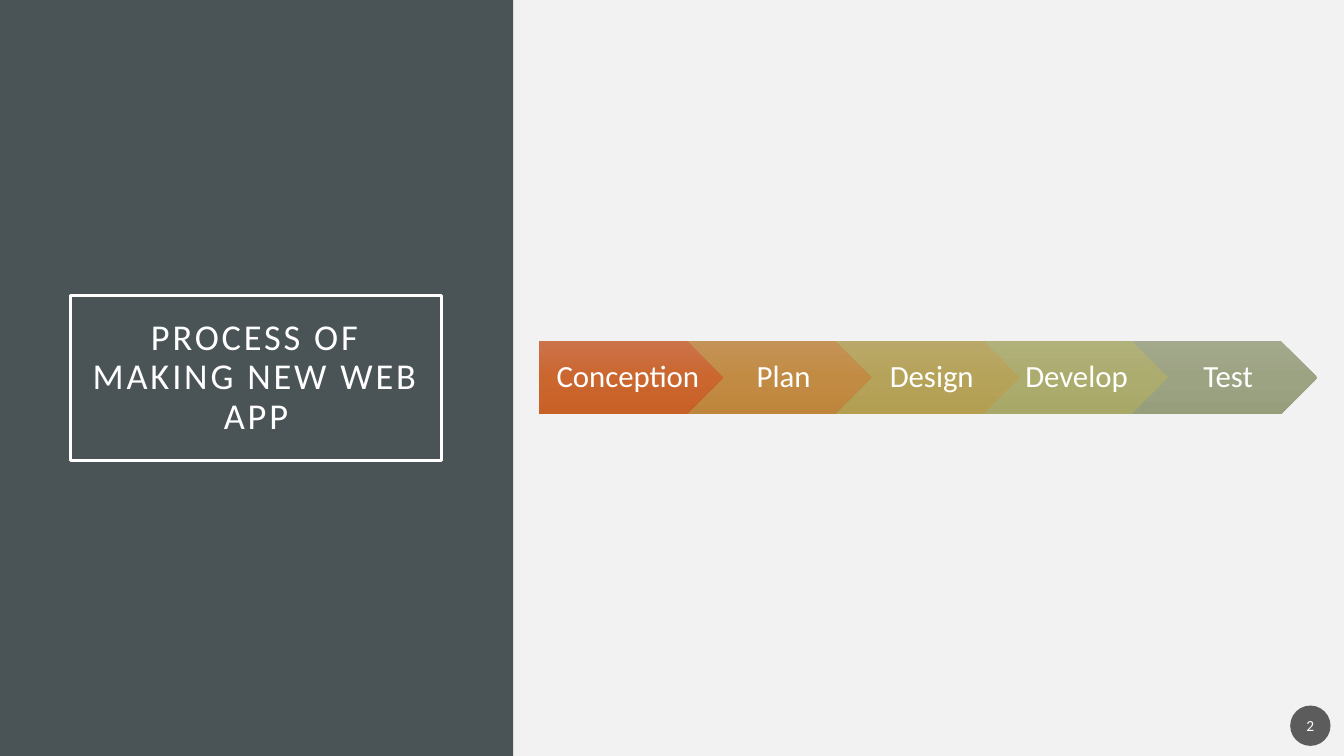
from copy import deepcopy

from lxml import etree
from pptx import Presentation
from pptx.dml.color import RGBColor
from pptx.enum.shapes import MSO_SHAPE
from pptx.enum.text import MSO_ANCHOR, MSO_AUTO_SIZE, PP_ALIGN
from pptx.oxml.ns import qn
from pptx.util import Pt

RECTANGLE = MSO_SHAPE.RECTANGLE
PENTAGON = MSO_SHAPE.PENTAGON
CHEVRON = MSO_SHAPE.CHEVRON
OVAL = MSO_SHAPE.OVAL
MIDDLE = MSO_ANCHOR.MIDDLE
CENTER = PP_ALIGN.CENTER
NO_AUTOFIT = MSO_AUTO_SIZE.NONE

COLORS = {
    "background": "F2F2F2",
    "panel": "4A5356",
    "text": "FFFFFF",
    "badge": "1D1D1D",
}
FONT = "Calibri"

STEP_LEFT, STEP_TOP = 385.2, 243.4
STEP_WIDTH, STEP_HEIGHT = 132.5, 52.6
STEP_PITCH = 105.85
# Name, gradient from top to bottom, text insets (left, top, right, bottom)
STEPS = [
    ("Conception", ("CC734B", "CB662F", "C86128"), (9.4, 4.3, 2.2, 4.3)),
    ("Plan", ("C49358", "C28B43", "BE863C"), (7.2, 4.3, 2.2, 4.3)),
    ("Design", ("BAA86A", "B6A35A", "B39E52"), (7.2, 4.3, 2.2, 4.3)),
    ("Develop", ("B1B17B", "ACAC6F", "A8A868"), (0, 0, 0, 0)),
    ("Test", ("A3A98C", "9CA383", "979E7C"), (7.2, 4.3, 2.2, 4.3)),
]


def set_attributes(target, values):
    for name, value in values.items():
        setattr(target, name, value)


class SlideBuilder:
    """Draws elements on one slide in a shared style; lengths are in points."""

    def __init__(self, slide):
        self.slide = slide

    def background(self, color):
        fill = self.slide.background.fill
        fill.solid()
        fill.fore_color.rgb = RGBColor.from_string(color)

    def text(self, shape, text, size, insets, line_spacing=1.0):
        frame = shape.text_frame
        left, top, right, bottom = map(Pt, insets)
        set_attributes(frame, {
            "text": text, "word_wrap": True, "auto_size": NO_AUTOFIT,
            "vertical_anchor": MIDDLE, "margin_left": left, "margin_top": top,
            "margin_right": right, "margin_bottom": bottom,
        })
        paragraph = frame.paragraphs[0]
        set_attributes(paragraph, {"alignment": CENTER, "line_spacing": line_spacing})
        font = paragraph.runs[0].font
        set_attributes(font, {"name": FONT, "size": Pt(size)})
        font.color.rgb = RGBColor.from_string(COLORS["text"])
        return paragraph.runs[0]

    def title(self, text, box, size, inset, tracking):
        title = self.slide.shapes.title
        set_attributes(title, dict(zip(("left", "top", "width", "height"), map(Pt, box))))
        title.line.color.rgb = RGBColor.from_string(COLORS["text"])
        title.line.width = Pt(2.5)
        run = self.text(title, text, size, (inset,) * 4, 0.9)
        run.font._element.set("spc", str(tracking * 100))

    def shape(self, kind, box):
        shape = self.slide.shapes.add_shape(kind, *map(Pt, box))
        shape.shadow.inherit = False
        shape.line.fill.background()
        return shape

    def solid(self, kind, box, color, opacity=100):
        shape = self.shape(kind, box)
        shape.fill.solid()
        shape.fill.fore_color.rgb = RGBColor.from_string(color)
        if opacity < 100:
            color_element = shape._element.spPr.find(qn("a:solidFill"))[0]
            etree.SubElement(color_element, qn("a:alpha")).set("val", str(opacity * 1000))
        return shape

    def panel(self, box, color):
        """Draws a plain rectangle behind everything else."""
        panel = self.solid(RECTANGLE, box, color)
        self.slide.shapes._spTree.insert(2, panel._element)

    def step(self, kind, box, name, colors, insets):
        step = self.shape(kind, box)
        step.fill.gradient()
        step.fill.gradient_angle = 270
        first_stop = step._element.spPr.find(".//" + qn("a:gs"))
        first_stop.addnext(deepcopy(first_stop))
        for stop, position, color in zip(step.fill.gradient_stops, (0, 0.5, 1), colors):
            stop.position = position
            stop.color.rgb = RGBColor.from_string(color)
        self.text(step, name, 22, insets, 0.9)


def main():
    presentation = Presentation()
    set_attributes(presentation, {"slide_width": Pt(960), "slide_height": Pt(540)})
    title_only = presentation.slide_layouts[5]
    builder = SlideBuilder(presentation.slides.add_slide(title_only))

    builder.background(COLORS["background"])
    builder.panel((0, 0, 366.5, 540), COLORS["panel"])
    builder.title("PROCESS OF MAKING NEW WEB APP", (50.4, 211, 265, 118), 26, 14.4, 2)

    for index, (name, colors, insets) in enumerate(STEPS):
        box = (STEP_LEFT + index * STEP_PITCH, STEP_TOP, STEP_WIDTH, STEP_HEIGHT)
        builder.step(CHEVRON if index else PENTAGON, box, name, colors, insets)

    badge = builder.solid(OVAL, (921.6, 504, 28.8, 28.8), COLORS["badge"], 70)
    builder.text(badge, "2", 11, (1.4, 3.6, 1.4, 3.6))

    presentation.save("out.pptx")


if __name__ == "__main__":
    main()
